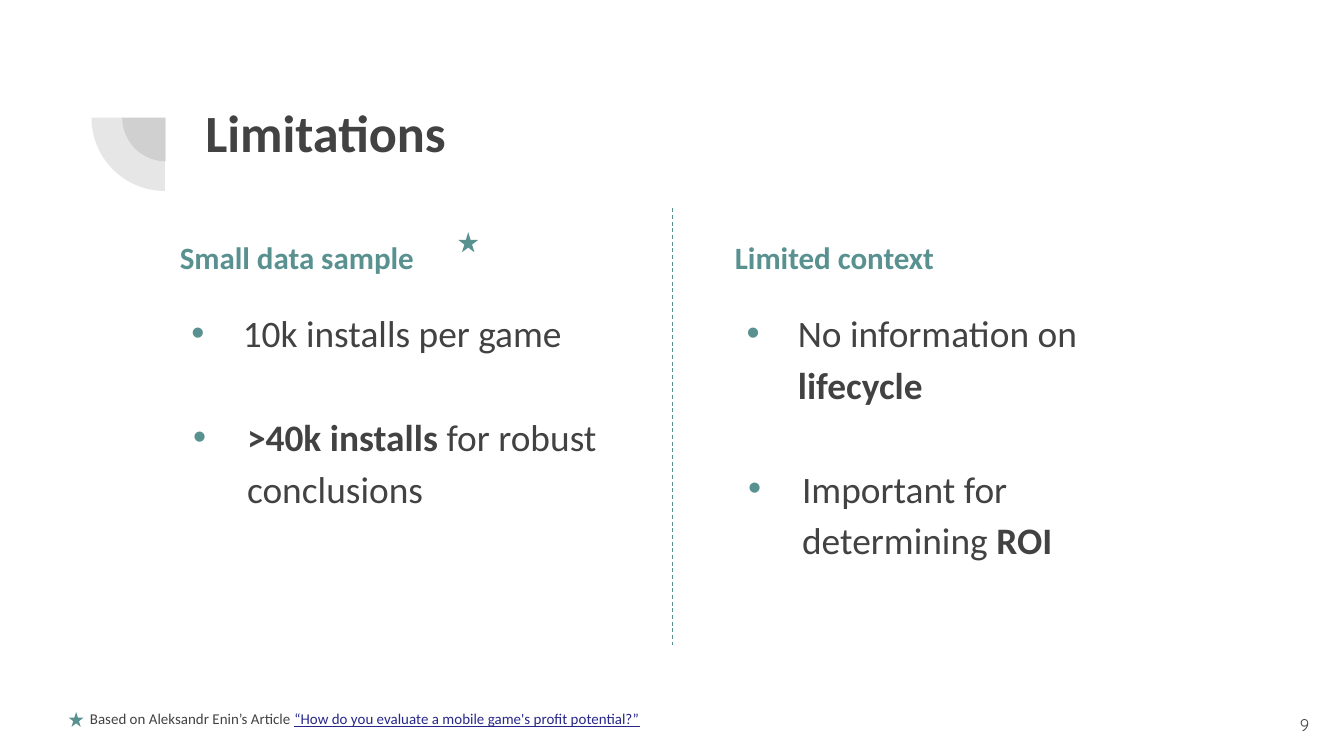
from dataclasses import dataclass

from lxml.etree import SubElement
from pptx import Presentation
from pptx.dml.color import RGBColor
from pptx.enum.dml import MSO_LINE
from pptx.enum.shapes import MSO_CONNECTOR, MSO_SHAPE
from pptx.enum.text import MSO_ANCHOR as Anchor, PP_ALIGN as Align
from pptx.oxml.ns import qn
from pptx.slide import Slide
from pptx.util import Cm, Pt

COLORS = {"text": "424242", "accent": "599191", "link": "27278B"}


@dataclass(frozen=True)
class Box:
    left: float
    top: float
    width: float
    height: float

    def lengths(self) -> tuple:
        return Cm(self.left), Cm(self.top), Cm(self.width), Cm(self.height)


@dataclass(frozen=True)
class Run:
    text: str
    size: float
    color: str = "text"
    bold: bool = False
    underline: bool = False
    font: str = "Calibri"


@dataclass(frozen=True)
class Bullet:
    runs: tuple[Run, ...]
    indent: float
    hanging: float
    space_before: float = 0


@dataclass(frozen=True)
class Column:
    left: float
    heading: str
    bullets: tuple[Bullet, ...]


def color_of(name: str) -> RGBColor:
    return RGBColor.from_string(COLORS[name])


def add_runs(paragraph, runs: tuple[Run, ...]) -> None:
    for item in runs:
        run = paragraph.add_run()
        run.text = item.text
        run.font.name = item.font
        run.font.size = Pt(item.size)
        run.font.bold = item.bold
        run.font.underline = item.underline
        run.font.color.rgb = color_of(item.color)


def add_text_frame(slide: Slide, box: Box, anchor=Anchor.TOP, inset: float = 0.25):
    frame = slide.shapes.add_textbox(*box.lengths()).text_frame
    frame.word_wrap = True
    frame.vertical_anchor = anchor
    frame.margin_left = frame.margin_right = Cm(0.25)
    frame.margin_top = frame.margin_bottom = Cm(inset)
    return frame


def add_line_of_text(slide: Slide, box: Box, runs: tuple[Run, ...], anchor=Anchor.MIDDLE,
                     align=Align.LEFT, spacing: float = 1.0, inset: float = 0.25) -> None:
    paragraph = add_text_frame(slide, box, anchor, inset).paragraphs[0]
    paragraph.alignment = align
    paragraph.line_spacing = spacing
    add_runs(paragraph, runs)


def add_bullets(slide: Slide, box: Box, bullets: tuple[Bullet, ...]) -> None:
    frame = add_text_frame(slide, box)
    for index, bullet in enumerate(bullets):
        paragraph = frame.add_paragraph() if index else frame.paragraphs[0]
        paragraph.line_spacing = 1.15
        paragraph.space_before = Pt(bullet.space_before)
        properties = paragraph._p.get_or_add_pPr()
        properties.set("marL", str(Cm(bullet.indent)))
        properties.set("indent", str(-Cm(bullet.hanging)))
        bullet_color = SubElement(properties, qn("a:buClr"))
        SubElement(bullet_color, qn("a:srgbClr"), val=COLORS["accent"])
        SubElement(properties, qn("a:buFont"), typeface="Arial")
        SubElement(properties, qn("a:buChar"), char="•")
        add_runs(paragraph, bullet.runs)


def add_filled_shape(slide: Slide, kind: MSO_SHAPE, box: Box, color: str):
    shape = slide.shapes.add_shape(kind, *box.lengths())
    shape.shadow.inherit = False
    shape.fill.solid()
    shape.fill.fore_color.rgb = color_of(color)
    shape.line.fill.background()
    return shape


def add_quarter_disc(slide: Slide, box: Box) -> None:
    shape = add_filled_shape(slide, MSO_SHAPE.PIE, box, "text")
    shape.adjustments[0] = 108
    shape.adjustments[1] = 162
    shape.rotation = 270
    fill_color = shape.fill._xPr.find(qn("a:solidFill")).find(qn("a:srgbClr"))
    SubElement(fill_color, qn("a:alpha"), val="13000")


def add_divider(slide: Slide, left: float, top: float, bottom: float) -> None:
    divider = slide.shapes.add_connector(
        MSO_CONNECTOR.STRAIGHT, Cm(left), Cm(top), Cm(left), Cm(bottom))
    divider.line.color.rgb = color_of("accent")
    divider.line.width = Pt(0.5)
    divider.line.dash_style = MSO_LINE.DASH
    SubElement(divider._element.spPr, qn("a:effectLst"))


def add_column(slide: Slide, column: Column) -> None:
    add_bullets(slide, Box(column.left, 5.49, 8.61, 7.06), column.bullets)
    add_line_of_text(slide, Box(column.left, 4.32, 7, 1.17),
                     (Run(column.heading, 16.6, "accent", bold=True),), spacing=0.9)


def first_bullet(*runs: Run) -> Bullet:
    return Bullet(runs, 1.19, 0.97)


def second_bullet(*runs: Run) -> Bullet:
    return Bullet(runs, 1.27, 1.02, space_before=28)


COLUMNS = (
    Column(3.15, "Small data sample", (
        first_bullet(Run("10k installs per game", 20)),
        second_bullet(Run(">40k installs ", 20, bold=True),
                      Run("for robust conclusions", 20)),
    )),
    Column(13.64, "Limited context", (
        first_bullet(Run("No information on ", 20), Run("lifecycle", 20, bold=True)),
        second_bullet(Run("Important for determining ", 20), Run("ROI", 20, bold=True)),
    )),
)


def main() -> None:
    presentation = Presentation()
    presentation.slide_width = Cm(25.4)
    presentation.slide_height = Cm(14.29)
    slide = presentation.slides.add_slide(presentation.slide_layouts[6])

    for box in (Box(2.31, 1.4, 1.65, 1.65), Box(1.73, 0.84, 2.77, 2.77)):
        add_quarter_disc(slide, box)
    add_line_of_text(slide, Box(3.63, 1.65, 19.53, 2.77),
                     (Run("Limitations", 28, bold=True),), anchor=Anchor.TOP)
    for column in COLUMNS:
        add_column(slide, column)
    add_divider(slide, 12.7, 3.94, 12.19)

    for box in (Box(8.66, 4.39, 0.38, 0.38), Box(1.3, 13.46, 0.28, 0.28)):
        add_filled_shape(slide, MSO_SHAPE.STAR_5_POINT, box, "accent")
    add_line_of_text(slide, Box(1.45, 13.16, 12.19, 0.86), (
        Run("Based on Aleksandr Enin’s Article ", 8),
        Run("“How do you evaluate a mobile game's profit potential?”", 8, "link", underline=True),
    ), inset=0.13)
    add_line_of_text(slide, Box(23.47, 13.16, 1.52, 1.09),
                     (Run("9", 9, font="Quicksand"),), align=Align.RIGHT)
    presentation.save("out.pptx")


if __name__ == "__main__":
    main()
